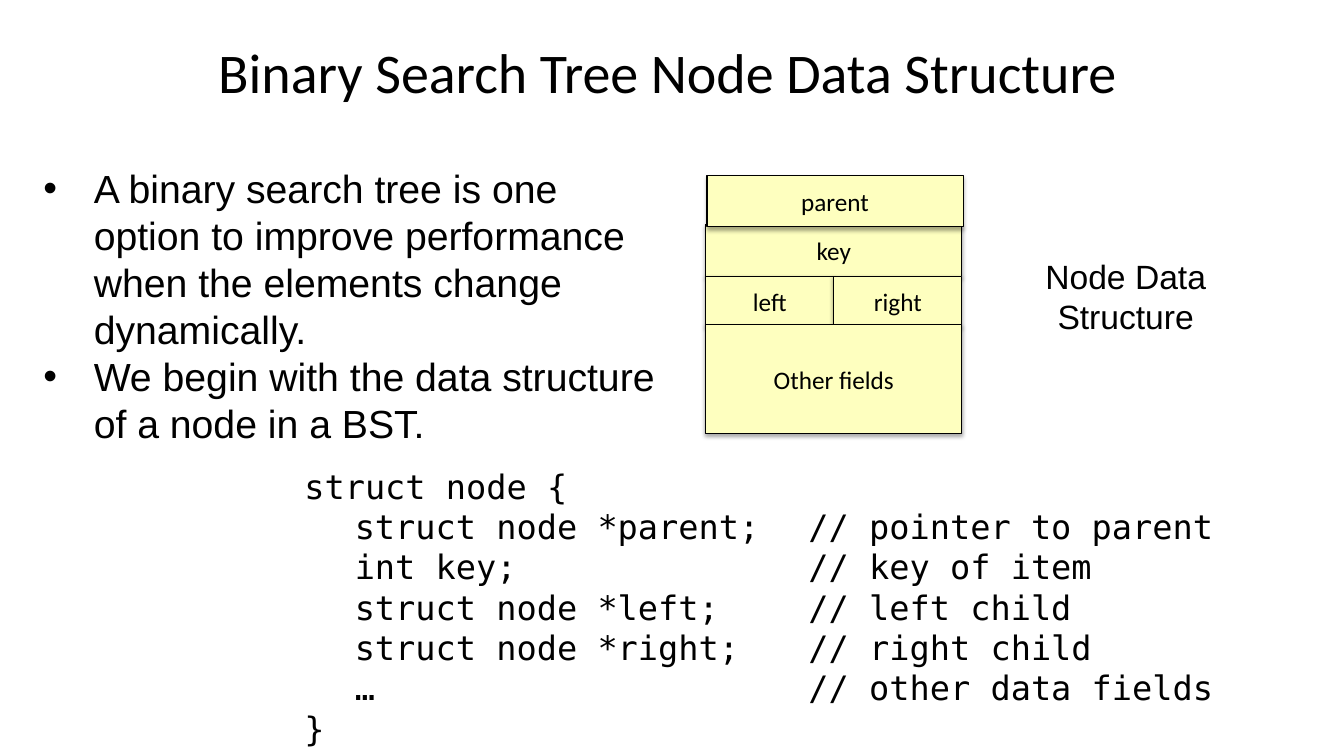
from lxml import etree
from pptx import Presentation
from pptx.dml.color import RGBColor
from pptx.enum.shapes import MSO_SHAPE
from pptx.enum.text import MSO_ANCHOR, MSO_AUTO_SIZE, PP_ALIGN
from pptx.oxml.ns import qn
from pptx.util import Inches, Pt

INK, CELL_FILL = "000000", "FEFFBF"
LINE_FACTOR = 1.2


def color(hex_string):
    """Turn a hex string into a colour."""
    return RGBColor.from_string(hex_string)


def write(shape, lines, font, size, align, anchor=MSO_ANCHOR.TOP):
    """Fill a shape with one paragraph per line in a single style."""
    frame = shape.text_frame
    frame.word_wrap = True
    frame.auto_size = MSO_AUTO_SIZE.NONE
    frame.vertical_anchor = anchor
    frame.text = "\n".join(lines)
    for paragraph in frame.paragraphs:
        paragraph.alignment = align
        paragraph.space_before = Pt(0)
        paragraph.line_spacing = Pt(LINE_FACTOR * size)
        paragraph.font.name = font
        paragraph.font.size = Pt(size)
        paragraph.font.color.rgb = color(INK)
    return frame.paragraphs


prs = Presentation()
prs.slide_width, prs.slide_height = Inches(13.33), Inches(7.5)
slide = prs.slides.add_slide(prs.slide_layouts[1])
title, body = slide.placeholders

# Title
title.left, title.top, title.width, title.height = map(Inches, (1.83, 0.08, 9.58, 1.25))
write(title, ["Binary Search Tree Node Data Structure"], "Calibri", 40,
      PP_ALIGN.CENTER, MSO_ANCHOR.MIDDLE)

# Bullet list
body.left, body.top, body.width, body.height = map(Inches, (0.33, 1.58, 6.42, 2.93))
bullets = [
    "A binary search tree is one option to improve performance "
    "when the elements change dynamically.",
    "We begin with the data structure of a node in a BST.",
]
for paragraph in write(body, bullets, "Arial", 28, PP_ALIGN.LEFT):
    properties = paragraph._p.get_or_add_pPr()
    properties.set("marL", str(Inches(0.5)))
    properties.set("indent", str(-Inches(0.5)))
    etree.SubElement(properties, qn("a:buFont")).set("typeface", "Arial")
    etree.SubElement(properties, qn("a:buChar")).set("char", "•")

# Struct definition: members and comments line up on two tab stops
members = [
    ("struct node *parent;", "pointer to parent"),
    ("int key;", "key of item"),
    ("struct node *left;", "left child"),
    ("struct node *right;", "right child"),
    ("…", "other data fields"),
]
code = ["struct node {", *(f"\t{member}\t// {note}" for member, note in members), "}"]
code_box = slide.shapes.add_textbox(*map(Inches, (2.92, 4.57, 10.25, 2.93)))
for paragraph in write(code_box, code, "DejaVu Sans Mono", 24, PP_ALIGN.LEFT):
    tabs = etree.SubElement(paragraph._p.get_or_add_pPr(), qn("a:tabLst"))
    for stop in (0.5, 5):
        etree.SubElement(tabs, qn("a:tab"), pos=str(Inches(stop)), algn="l")

# Node diagram: two columns, each field as name, column, span, top, height
NODE_LEFT, COLUMN = 7, 1.27
fields = [
    ("key", 0, 2, 2.23, 0.51),
    ("left", 0, 1, 2.74, 0.5),
    ("right", 1, 1, 2.74, 0.5),
    ("parent", 0.01, 2, 1.74, 0.51),
    ("Other fields", 0, 2, 3.22, 1.08),
]
for name, column, span, top, height in fields:
    field = slide.shapes.add_shape(
        MSO_SHAPE.RECTANGLE, Inches(NODE_LEFT + column * COLUMN), Inches(top),
        Inches(span * COLUMN), Inches(height))
    field.fill.solid()
    field.fill.fore_color.rgb = color(CELL_FILL)
    field.line.color.rgb = color(INK)
    field.line.width = Pt(0.75)
    field.shadow.inherit = False
    effects = field._element.spPr.find(qn("a:effectLst"))
    shadow = etree.SubElement(effects, qn("a:outerShdw"), blurRad=str(Pt(3.1)),
                              dist=str(Pt(1.8)), dir="5400000", rotWithShape="0")
    tint = etree.SubElement(shadow, qn("a:srgbClr"), val=INK)
    etree.SubElement(tint, qn("a:alpha"), val="35000")
    write(field, [name], "Calibri", 18, PP_ALIGN.CENTER, MSO_ANCHOR.MIDDLE)

# Diagram label
label = slide.shapes.add_textbox(*map(Inches, (10.08, 2.49, 2.17, 0.91)))
write(label, ["Node Data", "Structure"], "Arial", 24, PP_ALIGN.CENTER)

prs.save("out.pptx")
